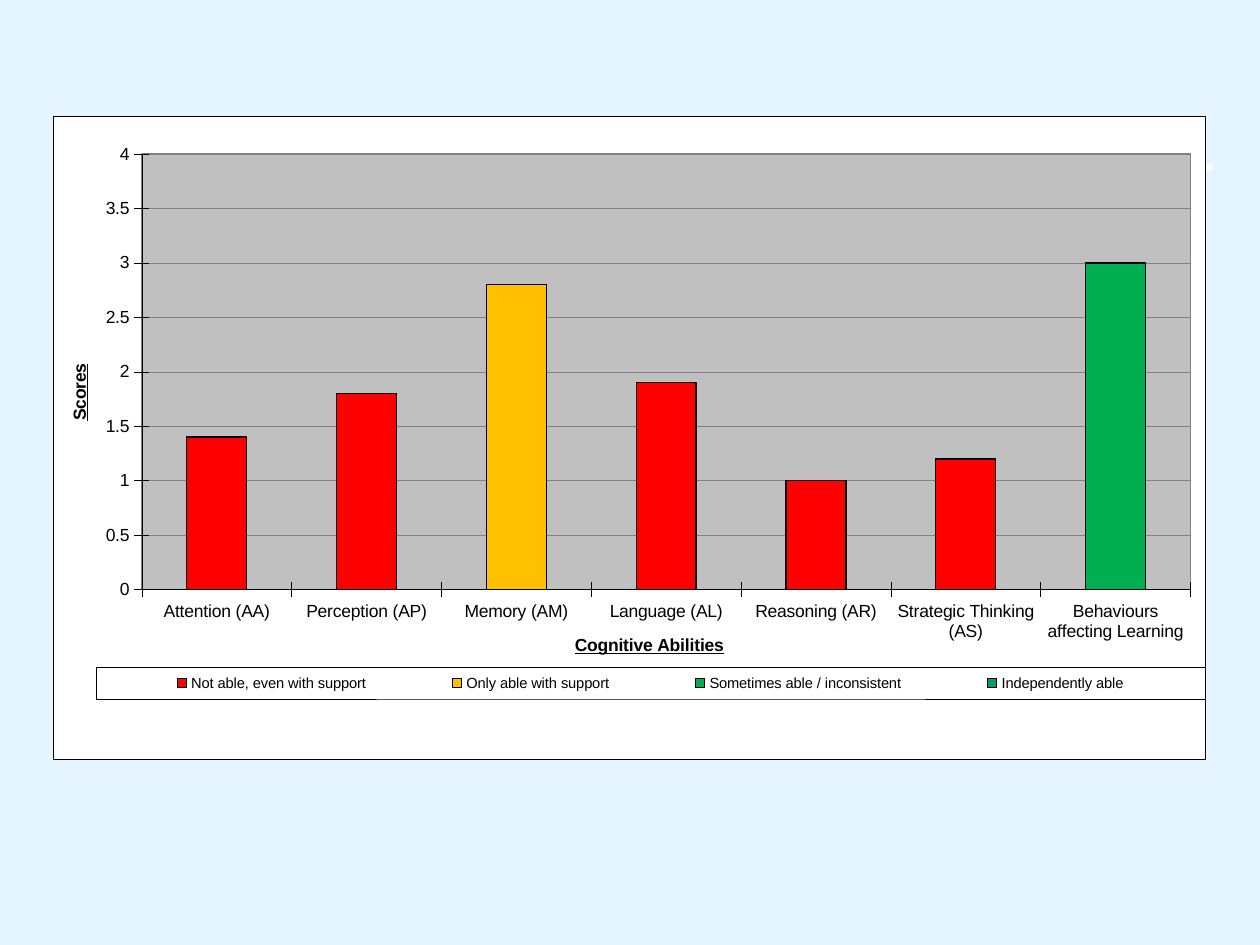
from lxml import etree
from pptx import Presentation, util as u
from pptx.chart.data import CategoryChartData
from pptx.dml.color import RGBColor
from pptx.enum import chart as ch, shapes
from pptx.oxml import parse_xml
from pptx.oxml.ns import nsdecls, qn

# Content
ABILITIES = ["Attention (AA)", "Perception (AP)", "Memory (AM)", "Language (AL)",
             "Reasoning (AR)", "Strategic Thinking (AS)", "Behaviours affecting Learning"]
SUPPORT_LEVELS = [  # name, colour, {ability position: score}
    ("Not able, even with support", "FF0000", {0: 1.4, 1: 1.8, 3: 1.9, 4: 1, 5: 1.2}),
    ("Only able with support", "FFC000", {2: 2.8}),
    ("Sometimes able / inconsistent", "00B050", {6: 3}),
    ("Independently able", "009973", {}),
]
FONT = "Arial"
BLACK, WHITE, GREY = "000000", "FFFFFF", "808080"


def color(value):
    return RGBColor.from_string(value)


def style_line(line, value, width):
    line.color.rgb = color(value)
    line.width = u.Pt(width)


def style_font(font, size, bold=False, underline=None):
    font.name, font.size, font.bold = FONT, u.Pt(size), bold
    font.color.rgb = color(BLACK)
    if underline:
        font.underline = True


def place(element, index, x, y, w=None, h=None, inner=False):
    """Position a chart part by shares of the chart's size."""
    for old in element.findall(qn("c:layout")):
        element.remove(old)
    layout = etree.Element(qn("c:layout"))
    manual = etree.SubElement(layout, qn("c:manualLayout"))
    entries = [("layoutTarget", "inner")] if inner else []
    entries += [("xMode", "edge"), ("yMode", "edge"), ("x", x), ("y", y)]
    if w:
        entries += [("w", w), ("h", h)]
    for tag, value in entries:
        etree.SubElement(manual, qn("c:" + tag)).set("val", str(value))
    element.insert(index, layout)


def area_format(fill, line, width):
    return parse_xml(
        f'<c:spPr {nsdecls("c", "a")}><a:solidFill><a:srgbClr val="{fill}"/></a:solidFill>'
        f'<a:ln w="{u.Pt(width)}"><a:solidFill><a:srgbClr val="{line}"/></a:solidFill></a:ln></c:spPr>')


# Slide
presentation = Presentation()
presentation.slide_width, presentation.slide_height = u.Inches(10), u.Inches(7.5)
slide = presentation.slides.add_slide(presentation.slide_layouts[6])
slide.background.fill.solid()
slide.background.fill.fore_color.rgb = color("E5F5FF")

# Header rule
rule = slide.shapes.add_connector(shapes.MSO_CONNECTOR.STRAIGHT, u.Inches(0.7), u.Inches(1.33),
                                  u.Inches(9.62), u.Inches(1.33))
style_line(rule.line, WHITE, 3.75)
etree.SubElement(rule._element.spPr, qn("a:effectLst"))

# Score chart
data = CategoryChartData()
data.categories = ABILITIES
for name, _, scores in SUPPORT_LEVELS:
    data.add_series(name, [scores.get(i) for i in range(len(ABILITIES))])
chart = slide.shapes.add_chart(ch.XL_CHART_TYPE.COLUMN_STACKED, u.Inches(0.42), u.Inches(0.92),
                               u.Inches(9.15), u.Inches(5.11), data).chart
chart.has_title = False
style_font(chart.font, 10)

# Columns
plot = chart.plots[0]
plot.gap_width, plot.overlap, plot.vary_by_categories = 150, 100, False
for series, (_, fill, _) in zip(plot.series, SUPPORT_LEVELS):
    series.format.fill.solid()
    series.format.fill.fore_color.rgb = color(fill)
    style_line(series.format.line, BLACK, 0.75)

# Axes
for axis, title, x, y in [(chart.category_axis, "Cognitive Abilities", 0.45, 0.8),
                          (chart.value_axis, "Scores", 0.01, 0.38)]:
    axis.major_tick_mark = ch.XL_TICK_MARK.CROSS
    axis.minor_tick_mark = ch.XL_TICK_MARK.NONE
    style_font(axis.tick_labels.font, 10)
    style_line(axis.format.line, BLACK, 0.25)
    axis.axis_title.text_frame.text = title
    style_font(axis.axis_title.text_frame.paragraphs[0].runs[0].font, 10, True, True)
    place(axis.axis_title._element, 1, x, y)
scores_axis = chart.value_axis
scores_axis.minimum_scale, scores_axis.maximum_scale, scores_axis.major_unit = 0, 4, 0.5
scores_axis.has_major_gridlines = True
style_line(scores_axis.major_gridlines.format.line, GREY, 0.25)

# Legend
chart.has_legend = True
legend = chart.legend
legend.position = ch.XL_LEGEND_POSITION.BOTTOM
legend.include_in_layout = False
style_font(legend.font, 8.4)
place(legend._element, 1, 0.037, 0.857, 0.963, 0.049)
legend._element.find(qn("c:txPr")).addprevious(area_format(WHITE, BLACK, 0.25))

# Plot and chart areas
plot_area = chart._chartSpace.chart.plotArea
place(plot_area, 0, 0.077, 0.059, 0.91, 0.677, inner=True)
plot_area.append(area_format("C0C0C0", GREY, 1))
chart._chartSpace.chart.addnext(area_format(WHITE, BLACK, 0.25))

presentation.save("out.pptx")
